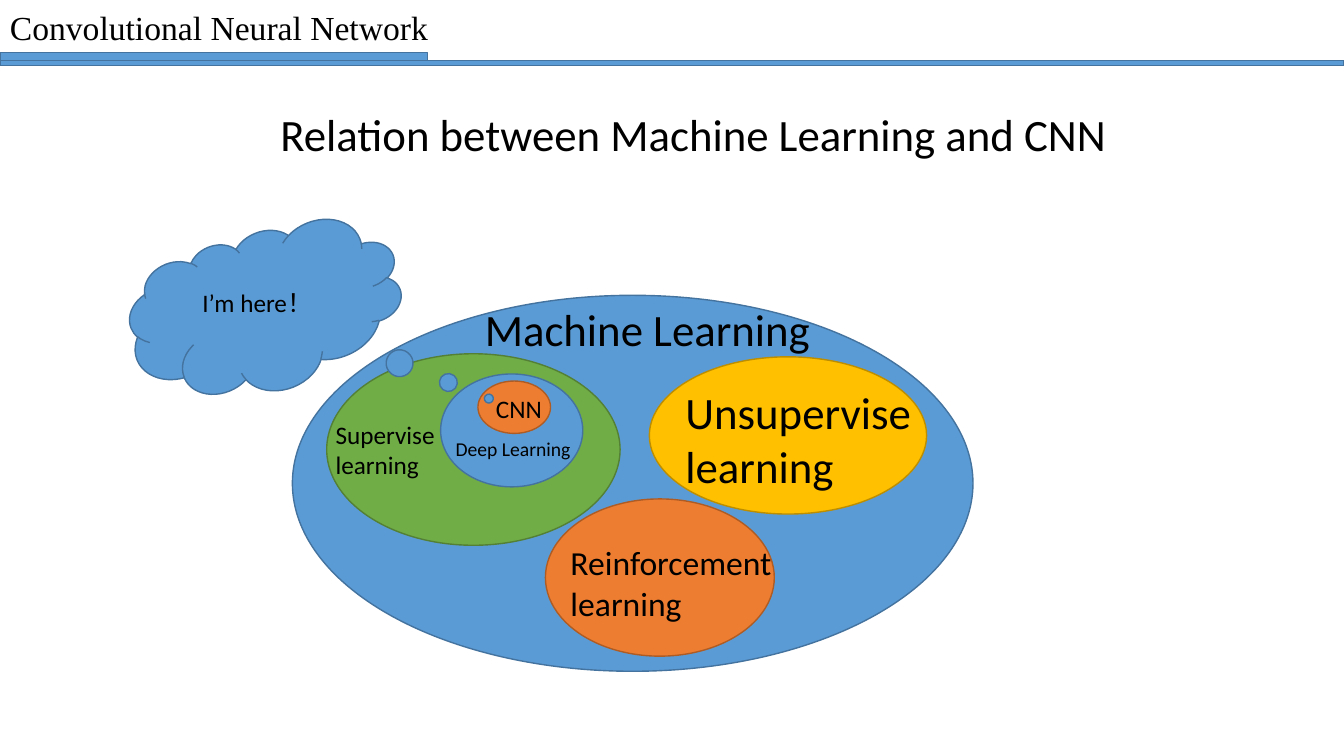
from dataclasses import dataclass

from pptx import Presentation
from pptx.dml.color import RGBColor
from pptx.enum.shapes import MSO_SHAPE as Preset
from pptx.enum.text import MSO_ANCHOR as Anchor, MSO_AUTO_SIZE as AutoSize, PP_ALIGN as Align
from pptx.oxml.ns import qn
from pptx.util import Emu, Pt

EMU_PER_PX = 9144  # 100 px to the inch


@dataclass(frozen=True)
class Theme:
    # each pair is fill, outline
    blue: tuple = ("5B9BD5", "43739E")
    green: tuple = ("70AD47", "538035")
    gold: tuple = ("FFC000", "BD8E00")
    orange: tuple = ("ED7D31", "AF5C24")
    ink: str = "000000"
    body_font: str = "Calibri"
    header_font: str = "Times New Roman"
    large: int = 32
    medium: int = 24
    small: int = 18
    tiny: int = 14
    outline: int = 1


THEME = Theme()


def px(*lengths):
    return [Emu(length * EMU_PER_PX) for length in lengths]


def add_figure(slide, preset, box, colours):
    figure = slide.shapes.add_shape(preset, *px(*box))
    figure.shadow.inherit = False
    fill, outline = map(RGBColor.from_string, colours)
    figure.fill.solid()
    figure.fill.fore_color.rgb = fill
    figure.line.color.rgb = outline
    figure.line.width = Pt(THEME.outline)
    return figure


def write(frame, text, size, font):
    frame.text = text
    frame.word_wrap = True
    frame.auto_size = AutoSize.NONE
    frame.vertical_anchor = Anchor.TOP
    for paragraph in frame.paragraphs:
        paragraph.alignment = Align.LEFT
        paragraph.font.size = Pt(size)
        paragraph.font.name = font
        paragraph.font.color.rgb = RGBColor.from_string(THEME.ink)


def add_label(slide, box, text, size, font=THEME.body_font):
    label = slide.shapes.add_textbox(*px(*box))
    write(label.text_frame, text, size, font)


def place_title(slide, box, text):
    title = slide.shapes.title
    title.left, title.top, title.width, title.height = px(*box)
    write(title.text_frame, text, THEME.large, THEME.body_font)


def add_thought_cloud(slide, box, rotation, tail):
    """Add a mirrored cloud whose bubbles lead to tail, given as fractions of its size."""
    cloud = add_figure(slide, Preset.CLOUD_CALLOUT, box, THEME.blue)
    cloud.rotation = rotation
    cloud.adjustments[0], cloud.adjustments[1] = tail
    cloud.element.spPr.find(qn("a:xfrm")).set("flipH", "1")


def add_header(slide, slide_width):
    add_label(slide, (0, 2, 494, 50), "Convolutional Neural Network",
              THEME.medium, THEME.header_font)
    for box in ((0, 52, 424, 8), (0, 60, slide_width, 5)):
        add_figure(slide, Preset.RECTANGLE, box, THEME.blue)


def main():
    slide_width, slide_height = 1333, 750
    deck = Presentation()
    deck.slide_width, deck.slide_height = px(slide_width, slide_height)
    slide = deck.slides.add_slide(deck.slide_layouts.get_by_name("Title Only"))

    add_header(slide, slide_width)
    place_title(slide, (268, 101, 849, 64), "Relation between Machine Learning and CNN")

    # field: ellipse, colours, label box, label, type size
    fields = [
        ((290, 293, 675, 373), THEME.blue, (471, 294, 346, 64), "Machine Learning", THEME.large),
        ((324, 351, 291, 190), THEME.green, (323, 411, 137, 71), "Supervise learning", THEME.small),
        ((644, 354, 275, 156), THEME.gold, (670, 377, 257, 118), "Unsupervise learning", THEME.large),
        ((541, 495, 227, 156), THEME.orange, (556, 533, 301, 91), "Reinforcement\nlearning", THEME.medium),
        ((437, 371, 141, 112), THEME.blue, (442, 429, 137, 34), "Deep Learning", THEME.tiny),
        ((474, 378, 72, 52), THEME.orange, (482, 385, 137, 40), "CNN", THEME.small),
    ]
    for ellipse, colours, *_ in fields:
        add_figure(slide, Preset.OVAL, ellipse, colours)
    for *_, label_box, label, size in fields:
        add_label(slide, label_box, label, size)

    add_thought_cloud(slide, (127, 228, 274, 160), rotation=338.2, tail=(-0.63, 1.02))
    add_label(slide, (191, 280, 166, 40), "I’m here！", THEME.small)

    deck.save("out.pptx")


if __name__ == "__main__":
    main()
